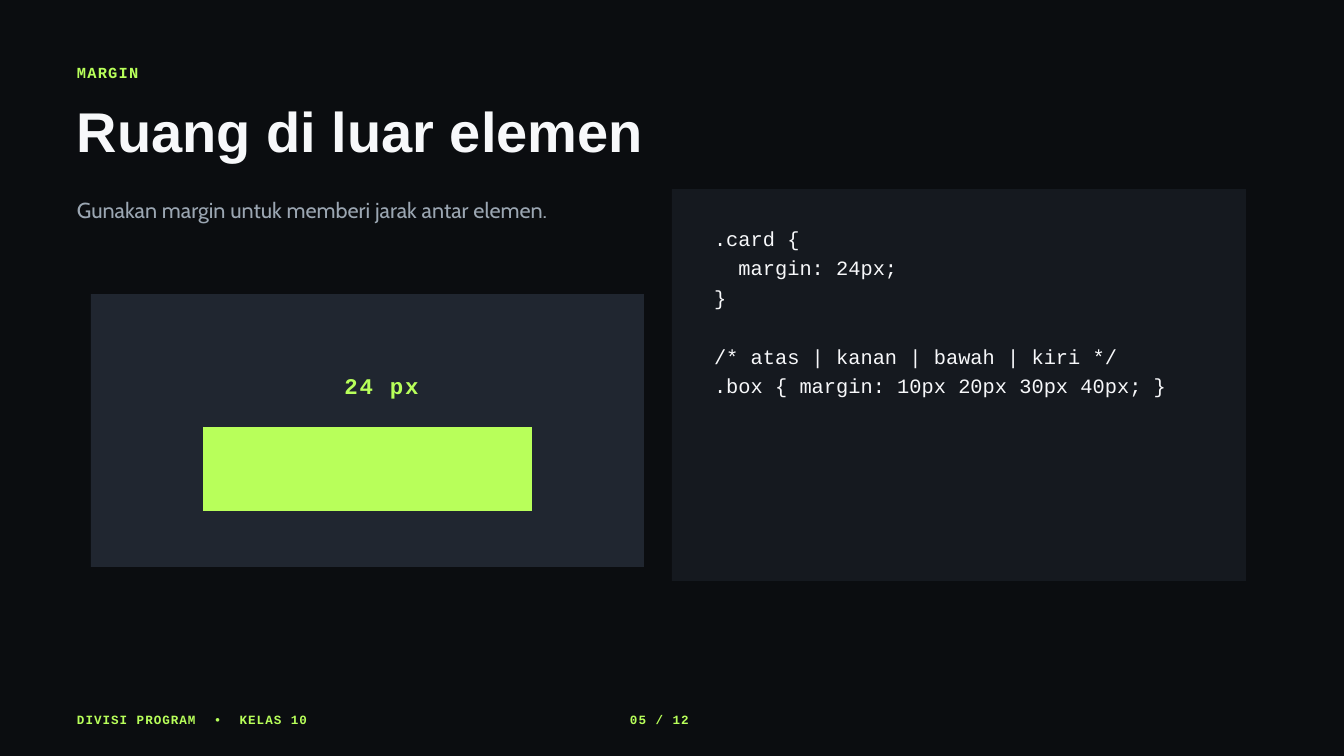
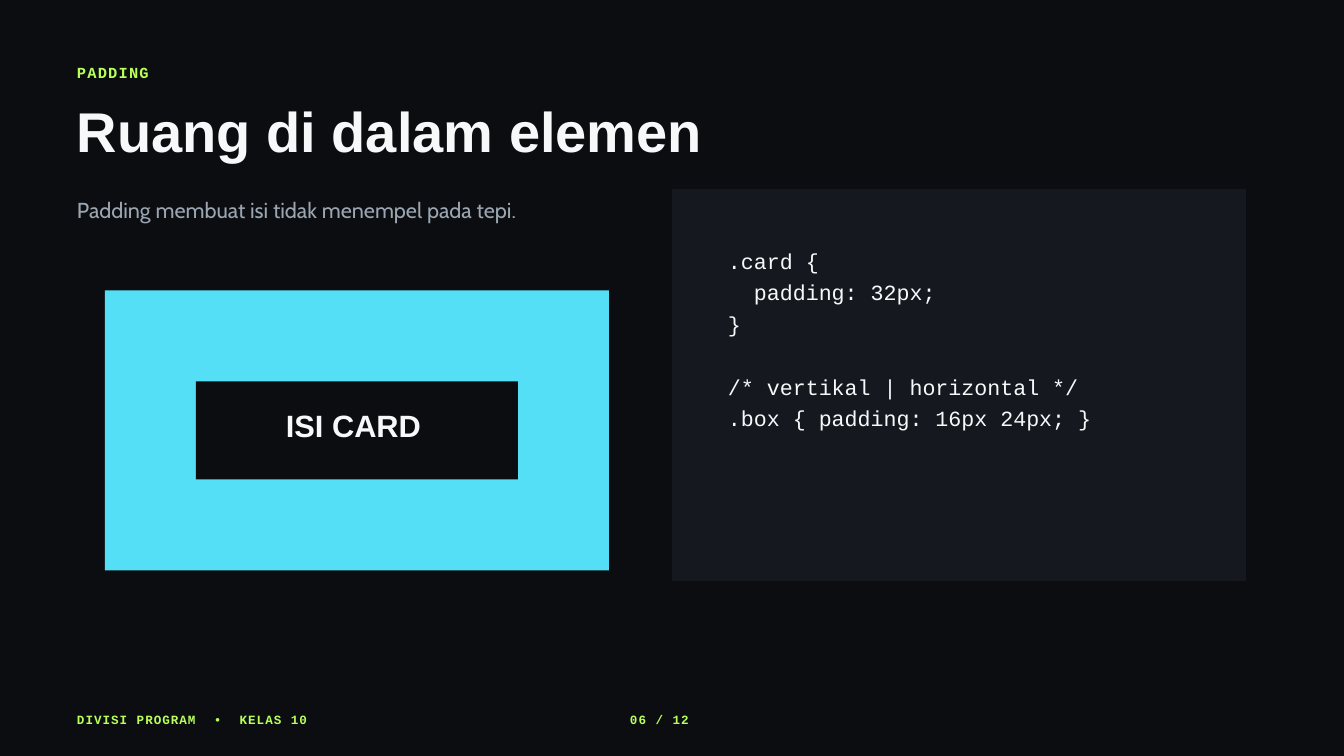
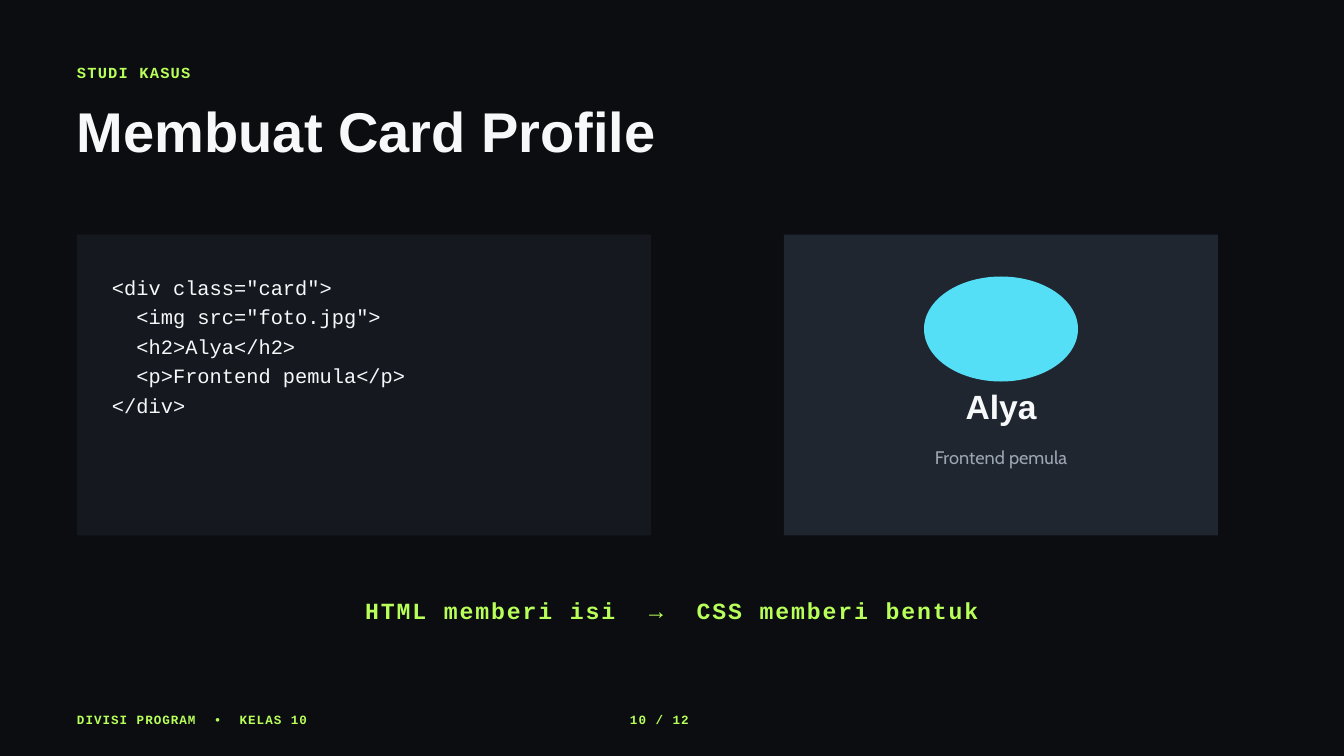
"""Build three slides on CSS spacing: margin, padding and a profile card."""
from collections import namedtuple

from lxml.etree import SubElement
from pptx import Presentation
from pptx.dml.color import RGBColor
from pptx.enum.shapes import MSO_SHAPE
from pptx.enum.text import PP_ALIGN
from pptx.oxml.ns import qn
from pptx.util import Emu, Pt

PX = 9525
BACKGROUND = RGBColor(0x0B, 0x0D, 0x10)
PANEL = RGBColor(0x15, 0x19, 0x1F)
SURFACE = RGBColor(0x20, 0x26, 0x30)
LIME = RGBColor(0xB8, 0xFF, 0x5A)
CYAN = RGBColor(0x55, 0xDF, 0xF7)
WHITE = RGBColor(0xF7, 0xF8, 0xFA)
GREY = RGBColor(0x9B, 0xA6, 0xB2)

HEADING_FONT, BODY_FONT, CODE_FONT = "Arial", "Cabin", "Courier New"
MONO_ADVANCE = 0.6
LEFT = 110
PAGE_NUMBER_TAB = 790
PAGE_TOTAL = 12

Style = namedtuple("Style", "font size line color bold spacing", defaults=(False, 0))
LABEL = Style(CODE_FONT, 16.5, 23.1, LIME, True, 1.3)
TITLE = Style(HEADING_FONT, 60, 61.2, WHITE, True)
LEAD = Style(BODY_FONT, 23.2, 32.5, GREY)
FOOTER = Style(CODE_FONT, 13.5, 18.9, LIME, True, 1.1)
CODE = Style(CODE_FONT, 21.8, 31.5, WHITE)
LARGE_CODE = Style(CODE_FONT, 23.2, 33.7, WHITE)
MEASURE = Style(CODE_FONT, 24, 33.6, LIME, True, 1.9)
CARD_CONTENT = Style(HEADING_FONT, 33, 33.7, WHITE, True)
PROFILE_NAME = Style(HEADING_FONT, 36, 36.7, WHITE, True)
PROFILE_ROLE = Style(BODY_FONT, 19.5, 27.3, GREY)
SUMMARY = Style(CODE_FONT, 24.8, 34.6, LIME, True, 2)


def px(*lengths):
    """Turn pixel lengths into EMU."""
    return [Emu(length * PX) for length in lengths]


def add_block(page, rect, color, kind=MSO_SHAPE.RECTANGLE):
    """Draw a plain filled shape."""
    block = page.shapes.add_shape(kind, *px(*rect))
    block.shadow.inherit = False
    block.fill.solid()
    block.fill.fore_color.rgb = color
    block.line.fill.background()


def format_span(span, style, spacing):
    """Apply a style and a letter spacing to a run."""
    span.font.name = style.font
    span.font.size = Pt(style.size)
    span.font.bold = style.bold
    span.font.color.rgb = style.color
    if spacing:
        span.font._element.set("spc", str(round(spacing * 100)))


def add_text(page, rect, text, style, align=PP_ALIGN.LEFT):
    """Place text without insets and return its paragraphs."""
    frame = page.shapes.add_textbox(*px(*rect)).text_frame
    frame.word_wrap = True
    frame.margin_left = frame.margin_top = frame.margin_right = frame.margin_bottom = 0
    frame.text = text
    for para in frame.paragraphs:
        para.alignment = align
        para.line_spacing = Pt(style.line)
        for span in para.runs:
            format_span(span, style, style.spacing)
    return frame.paragraphs


def add_symbol_line(page, rect, before, symbol, after, style, align=PP_ALIGN.LEFT):
    """Place a line whose symbol has a two-letter gap on both sides."""
    para = add_text(page, rect, before, style, align)[0]
    wide = 2 * style.spacing + MONO_ADVANCE * style.size
    for text in (" ", symbol, " ", after):
        span = para.add_run()
        span.text = text
        format_span(span, style, wide if text == " " else style.spacing)
    return para


def add_code(page, panel, rect, rules, style):
    """Draw a code panel with one line of space between rules."""
    add_block(page, panel, PANEL)
    paragraphs = add_text(page, rect, "\n".join(rules), style)
    start = 0
    for rule in rules[:-1]:
        start += len(rule.split("\n"))
        paragraphs[start].space_before = Pt(style.line)


def add_page(deck, number, label, title, label_width=400, title_width=1250):
    """Add a slide with background, label, title and footer."""
    page = deck.slides.add_slide(deck.slide_layouts[6])
    page.background.fill.solid()
    page.background.fill.fore_color.rgb = BACKGROUND
    add_text(page, (LEFT, 86, label_width, 30), label, LABEL)
    add_text(page, (LEFT, 152, title_width, 98), title, TITLE)
    para = add_symbol_line(page, (LEFT, 1013, 1700, 24), "DIVISI PROGRAM", "•",
                           f"KELAS 10\t{number:02d} / {PAGE_TOTAL}", FOOTER)
    tabs = SubElement(para._p.get_or_add_pPr(), qn("a:tabLst"))
    SubElement(tabs, qn("a:tab"), pos=str(PAGE_NUMBER_TAB * PX), algn="l")
    return page


def add_property_page(deck, number, label, title, lead, code_rect, rules, style):
    """Add a slide with a lead sentence and a code panel on the right."""
    page = add_page(deck, number, label, title)
    add_text(page, (LEFT, 275, 800, 42), lead, LEAD)
    add_code(page, (960, 270, 820, 560), code_rect, rules, style)
    return page


def add_margin_page(deck):
    """Show the space outside an element."""
    rules = [".card {\n  margin: 24px;\n}",
             "/* atas | kanan | bawah | kiri */\n.box { margin: 10px 20px 30px 40px; }"]
    page = add_property_page(deck, 5, "MARGIN", "Ruang di luar elemen",
                             "Gunakan margin untuk memberi jarak antar elemen.",
                             (1020, 316, 710, 250), rules, CODE)
    add_block(page, (130, 420, 790, 390), SURFACE)
    add_block(page, (290, 610, 470, 120), LIME)
    add_text(page, (425, 525, 240, 42), "24 px", MEASURE, PP_ALIGN.CENTER)


def add_padding_page(deck):
    """Show the space inside an element."""
    rules = [".card {\n  padding: 32px;\n}",
             "/* vertikal | horizontal */\n.box { padding: 16px 24px; }"]
    page = add_property_page(deck, 6, "PADDING", "Ruang di dalam elemen",
                             "Padding membuat isi tidak menempel pada tepi.",
                             (1040, 346, 650, 261), rules, LARGE_CODE)
    add_block(page, (150, 415, 720, 400), CYAN)
    add_block(page, (280, 545, 460, 140), BACKGROUND)
    add_text(page, (310, 589, 390, 53), "ISI CARD", CARD_CONTENT, PP_ALIGN.CENTER)


def add_profile_page(deck):
    """Show the markup of a profile card beside its result."""
    page = add_page(deck, 10, "STUDI KASUS", "Membuat Card Profile", 500, 1100)
    markup = ('<div class="card">\n  <img src="foto.jpg">\n  <h2>Alya</h2>\n'
              "  <p>Frontend pemula</p>\n</div>")
    add_code(page, (LEFT, 335, 820, 430), (160, 386, 700, 207), [markup], CODE)
    add_block(page, (1120, 335, 620, 430), SURFACE)
    add_block(page, (1320, 395, 220, 150), CYAN, MSO_SHAPE.OVAL)
    add_text(page, (1230, 560, 400, 56), "Alya", PROFILE_NAME, PP_ALIGN.CENTER)
    add_text(page, (1230, 632, 400, 34), "Frontend pemula", PROFILE_ROLE, PP_ALIGN.CENTER)
    add_symbol_line(page, (380, 845, 1160, 44), "HTML memberi isi", "→",
                    "CSS memberi bentuk", SUMMARY, PP_ALIGN.CENTER)


def main():
    """Build and save the deck."""
    deck = Presentation()
    deck.slide_width, deck.slide_height = px(1920, 1080)
    add_margin_page(deck)
    add_padding_page(deck)
    add_profile_page(deck)
    deck.save("out.pptx")


if __name__ == "__main__":
    main()
